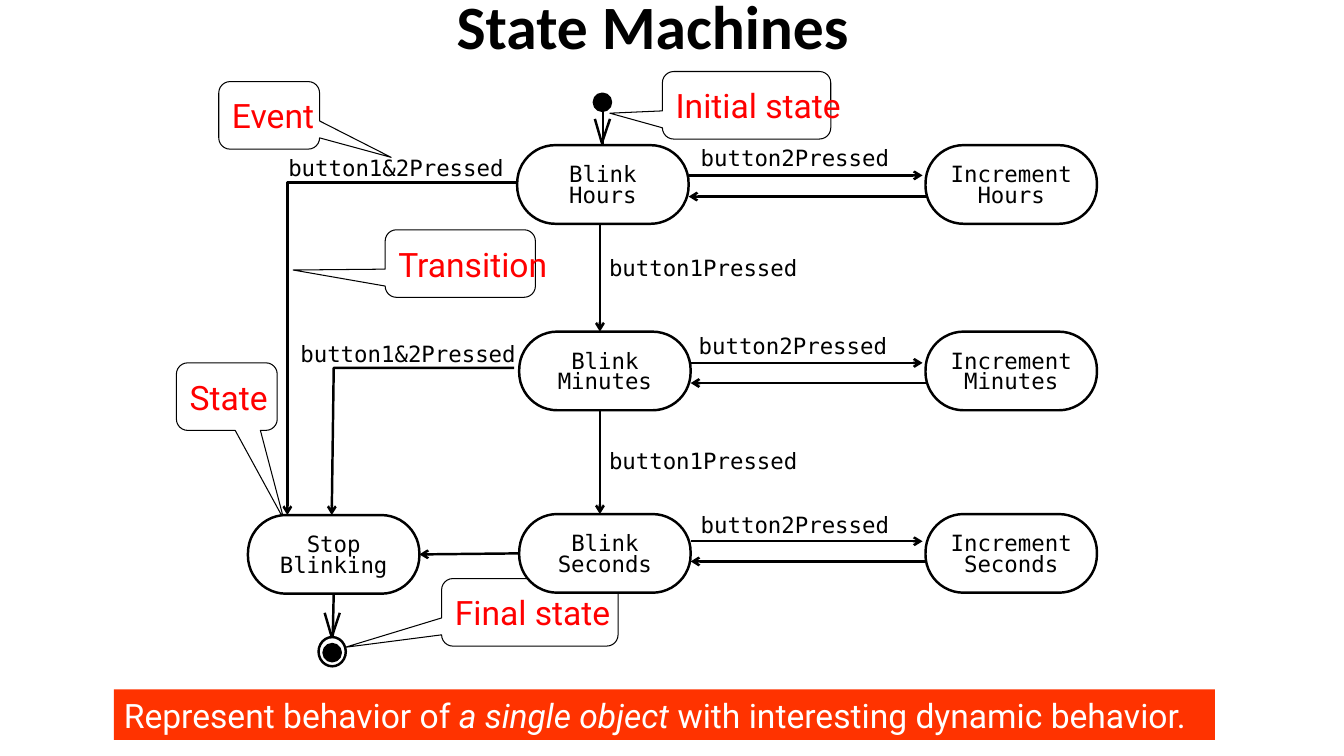
from pptx import Presentation
from pptx.dml.color import RGBColor
from pptx.enum.shapes import MSO_CONNECTOR, MSO_SHAPE
from pptx.enum.text import MSO_ANCHOR, PP_ALIGN
from pptx.oxml.ns import qn
from pptx.util import Inches, Pt
from lxml import etree

STRAIGHT = MSO_CONNECTOR.STRAIGHT
OVAL, RECT = MSO_SHAPE.OVAL, MSO_SHAPE.RECTANGLE
ROUNDED, CALLOUT = MSO_SHAPE.ROUNDED_RECTANGLE, MSO_SHAPE.ROUNDED_RECTANGULAR_CALLOUT
LEFT, CENTER, MIDDLE = PP_ALIGN.LEFT, PP_ALIGN.CENTER, MSO_ANCHOR.MIDDLE
TOP_SIDE, LEFT_SIDE, BOTTOM_SIDE, RIGHT_SIDE = range(4)

COLORS = {"ink": "000000", "paper": "FFFFFF", "note": "FF0000", "banner": "FF3300"}
TITLE_FONT = {"name": "Calibri", "size": Pt(44), "bold": True}
NOTE_FONT = {"name": "Roboto", "size": Pt(24)}
CODE_FONT = {"name": "DejaVu Sans Mono", "size": Pt(16)}
STATE_W, STATE_H, LINE_W = 1.7, 0.78, 1.75

CALLOUTS = [
    ("State", (1.75, 3.6, 1, 0.67), (0.566, 1.82)),
    ("Initial state", (6.57, 0.71, 1.67, 0.67), (-0.812, 0.117)),
    ("Final state", (4.38, 5.74, 1.75, 0.67), (-1.047, 0.518)),
    ("Transition", (3.82, 2.28, 1.49, 0.67), (-1.112, 0.096)),
    ("Event", (2.17, 0.81, 1, 0.67), (1.21, 0.622)),
]
ROWS = [
    ("Hours", 5.13, 1.44, 0.3, 0.51, (6.95, 1.43)),
    ("Minutes", 5.15, 3.29, 0.31, 0.51, (6.93, 3.3)),
    ("Seconds", 5.15, 5.1, 0.27, 0.47, (6.95, 5.07)),
]
INCREMENT_X, DOWN_X = 9.18, 5.95
STOP_X, STOP_Y = 2.46, 5.11


def color(key):
    """Return the named palette colour."""
    return RGBColor.from_string(COLORS[key])


def write(p, text, font, key, **extra):
    """Append a formatted run to a paragraph."""
    r = p.add_run()
    r.text = text
    for name, value in {**font, **extra}.items():
        setattr(r.font, name, value)
    r.font.color.rgb = color(key)


def add_box(s, kind, box, fill=None, line="ink", width=LINE_W):
    """Add a flat preset shape in the given box."""
    sp = s.shapes.add_shape(kind, *map(Inches, box))
    sp.shadow.inherit = False
    outline(sp, fill, line, width)
    return sp


def outline(sp, fill, line, width):
    """Set the fill and outline of a shape, None meaning empty."""
    for part, key in ((sp.fill, fill), (sp.line.fill, line)):
        if key:
            part.solid()
            part.fore_color.rgb = color(key)
        else:
            part.background()
    if line:
        sp.line.width = Pt(width)


def add_head(sp):
    """Put an open arrowhead at the end of a line."""
    ln = sp.line._get_or_add_ln()
    etree.SubElement(ln, qn("a:tailEnd"), type="arrow")


def add_line(s, start, end, head=True):
    """Draw a straight connector between two points."""
    cx = s.shapes.add_connector(STRAIGHT, *map(Inches, (*start, *end)))
    cx.line.color.rgb = color("ink")
    cx.line.width = Pt(LINE_W)
    etree.SubElement(cx._element.spPr, qn("a:effectLst"))
    if head:
        add_head(cx)
    return cx


def add_path(s, points, head=False):
    """Draw an open polyline through the points."""
    fb = s.shapes.build_freeform(*map(Inches, points[0]), scale=1.0)
    fb.add_line_segments([tuple(map(Inches, pt)) for pt in points[1:]], close=False)
    sp = fb.convert_to_shape()
    sp.shadow.inherit = False
    outline(sp, None, "ink", LINE_W)
    if head:
        add_head(sp)


def add_chevron(s, x, y):
    """Draw a tall open arrowhead with its tip at the point."""
    add_path(s, [(x + 0.08, y - 0.24), (x, y), (x - 0.07, y - 0.24)])


def add_label(s, text, x, y):
    """Add an event name at the given corner."""
    tb = s.shapes.add_textbox(*map(Inches, (x, y, len(text) * 0.134, 0.27)))
    tf = tb.text_frame
    tf.word_wrap = False
    tf.margin_left = tf.margin_right = tf.margin_top = tf.margin_bottom = 0
    write(tf.paragraphs[0], text, CODE_FONT, "ink")


def add_state(s, lines, x, y):
    """Add a state with its name on stacked lines."""
    sp = add_box(s, ROUNDED, (x, y, STATE_W, STATE_H), "paper")
    sp.adjustments[0] = 0.484
    tf = sp.text_frame
    tf.word_wrap = False
    tf.vertical_anchor = MIDDLE
    tf.margin_left = tf.margin_right = tf.margin_bottom = 0
    tf.margin_top = Inches(0.06)
    for i, text in enumerate(lines):
        p = tf.add_paragraph() if i else tf.paragraphs[0]
        p.alignment = CENTER
        p.line_spacing = Pt(14.4)
        write(p, text, CODE_FONT, "ink")
    return sp


def add_callout(s, text, box, tip):
    """Add a red note whose pointer ends at the relative tip."""
    sp = add_box(s, CALLOUT, box, "paper", width=0.75)
    for i, value in enumerate((*tip, 0.167)):
        sp.adjustments[i] = value
    tf = sp.text_frame
    tf.word_wrap = False
    tf.vertical_anchor = MIDDLE
    tf.paragraphs[0].alignment = LEFT
    write(tf.paragraphs[0], text, NOTE_FONT, "note")


def add_row(s, unit, x, y, out_dy, back_dy, label_at):
    """Add a blink and increment pair with arrows both ways."""
    blink = add_state(s, ("Blink", unit), x, y)
    add_state(s, ("Increment", unit), INCREMENT_X, y)
    right = x + STATE_W
    add_line(s, (right, y + out_dy), (9.15, y + out_dy))
    add_line(s, (INCREMENT_X, y + back_dy), (right, y + back_dy))
    add_label(s, "button2Pressed", *label_at)
    return blink


def add_diagram(s):
    """Add all states, transitions and end markers."""
    hours, _, seconds = [add_row(s, *row) for row in ROWS]
    stop = add_state(s, ("Stop", "Blinking"), STOP_X, STOP_Y)

    for upper, lower, label_y in zip(ROWS, ROWS[1:], (2.52, 4.44)):
        add_line(s, (DOWN_X, upper[2] + STATE_H), (DOWN_X, lower[2]))
        add_label(s, "button1Pressed", 6.04, label_y)
    for start, turn, end, label_at in (
        ((5.13, 1.81), (2.85, 1.81), (2.85, STOP_Y), (2.86, 1.53)),
        ((5.1, 3.65), (3.31, 3.65), (3.29, STOP_Y), (2.98, 3.37)),
    ):
        add_path(s, [start, turn, end], head=True)
        add_label(s, "button1&2Pressed", *label_at)

    halt = add_line(s, (5.15, 5.49), (4.16, 5.5))
    halt.begin_connect(seconds, LEFT_SIDE)
    halt.end_connect(stop, RIGHT_SIDE)

    add_box(s, OVAL, (5.89, 0.93, 0.17, 0.17), "ink")
    entry = add_line(s, (5.98, 1.03), (5.98, 1.44), head=False)
    entry.end_connect(hours, TOP_SIDE)
    add_chevron(s, 5.97, 1.42)

    leave = add_line(s, (3.31, 5.89), (3.3, 6.32), head=False)
    leave.begin_connect(stop, BOTTOM_SIDE)
    add_chevron(s, 3.29, 6.32)
    add_box(s, OVAL, (3.16, 6.32, 0.27, 0.29))
    add_box(s, OVAL, (3.21, 6.39, 0.17, 0.17), "ink")


def add_title(s, box):
    """Add the centred slide title."""
    tf = s.shapes.add_textbox(*map(Inches, box)).text_frame
    tf.word_wrap = True
    tf.vertical_anchor = MIDDLE
    p = tf.paragraphs[0]
    p.alignment = CENTER
    p.line_spacing = 0.9
    write(p, "State Machines", TITLE_FONT, "ink")


def add_banner(s, box):
    """Add the summary sentence on its coloured bar."""
    tf = add_box(s, RECT, box, "banner", None).text_frame
    tf.word_wrap = True
    tf.vertical_anchor = MIDDLE
    p = tf.paragraphs[0]
    p.alignment = LEFT
    write(p, "Represent behavior of ", NOTE_FONT, "paper")
    write(p, "a single object", NOTE_FONT, "paper", italic=True)
    write(p, " with interesting dynamic behavior.", NOTE_FONT, "paper")


def main():
    """Build and save the slide."""
    prs = Presentation()
    prs.slide_width, prs.slide_height = Inches(13.33), Inches(7.5)
    s = prs.slides.add_slide(prs.slide_layouts[6])
    for callout in CALLOUTS:
        add_callout(s, *callout)
    add_banner(s, (1.13, 6.84, 10.92, 0.5))
    add_diagram(s)
    add_title(s, (0.53, -0.18, 11.89, 0.94))
    prs.save("out.pptx")


if __name__ == "__main__":
    main()
